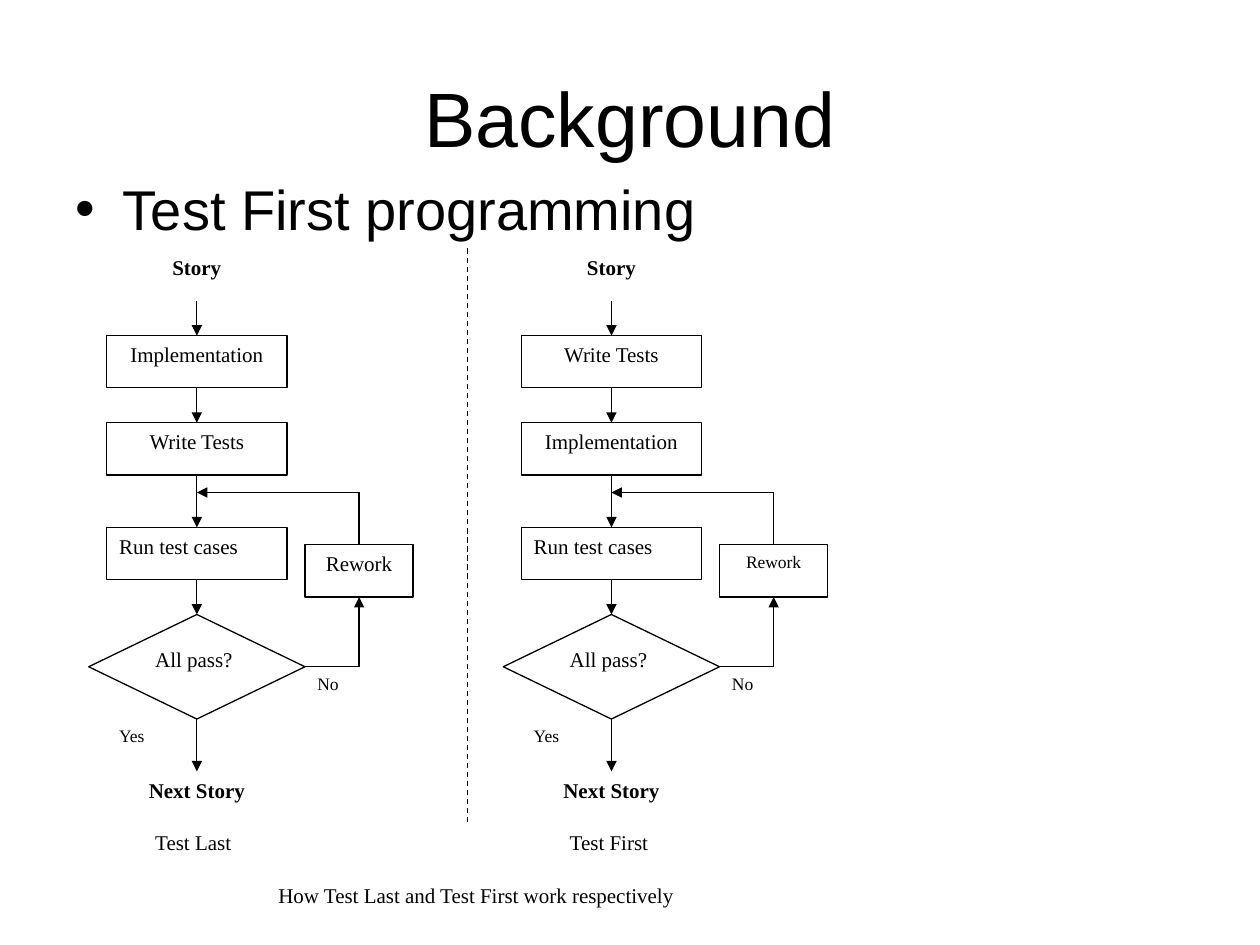
import pptx
import pptx.dml.color
import pptx.enum.dml
import pptx.enum.shapes
import pptx.enum.text
import pptx.oxml
import pptx.util

Pt = pptx.util.Pt
Align = pptx.enum.text.PP_ALIGN
Anchor = pptx.enum.text.MSO_ANCHOR
Shape = pptx.enum.shapes.MSO_SHAPE

BLACK = pptx.dml.color.RGBColor(0x00, 0x00, 0x00)
WHITE = pptx.dml.color.RGBColor(0xFF, 0xFF, 0xFF)

COLUMN = 10.3
ROW = 9.96
AXIS = 112.5
TOP = 142
BOX_ROWS = 3
DIVIDER_COLUMN = 15
SECOND_FLOW_COLUMN = 23


def x_at(column):
    return Pt(AXIS + COLUMN * column)


def y_at(row):
    return Pt(TOP + ROW * row)


def format_text(frame, text, font_name, size, align, bold=False):
    frame.text = text
    paragraph = frame.paragraphs[0]
    paragraph.alignment = align
    paragraph.font.name = font_name
    paragraph.font.size = Pt(size)
    paragraph.font.bold = bold
    paragraph.font.color.rgb = BLACK
    return paragraph


def fill_placeholder(placeholder, bounds, text, size, align, anchor):
    left, top, width, height = map(Pt, bounds)
    placeholder.left, placeholder.top = left, top
    placeholder.width, placeholder.height = width, height
    placeholder.text_frame.vertical_anchor = anchor
    return format_text(placeholder.text_frame, text, "Arial", size, align)


def add_step(slide, text, left, right, row, rows=BOX_ROWS, kind=Shape.RECTANGLE,
             size=12, align=Align.CENTER, bold=False, outlined=True, filled=True):
    step = slide.shapes.add_shape(
        kind, x_at(left), y_at(row), Pt(COLUMN * (right - left)), Pt(ROW * rows))
    step.shadow.inherit = False
    if filled:
        step.fill.solid()
        step.fill.fore_color.rgb = WHITE
    else:
        step.fill.background()
    if outlined:
        step.line.color.rgb = BLACK
        step.line.width = Pt(0.75)
    else:
        step.line.fill.background()
    step.text_frame.word_wrap = True
    step.text_frame.vertical_anchor = Anchor.TOP
    format_text(step.text_frame, text, "Times New Roman", size, align, bold)


def add_label(slide, text, left, right, row, **options):
    add_step(slide, text, left, right, row, outlined=False, **options)


def add_line(slide, start, end, arrow=False, dashed=False):
    link = slide.shapes.add_connector(
        pptx.enum.shapes.MSO_CONNECTOR.STRAIGHT,
        x_at(start[0]), y_at(start[1]), x_at(end[0]), y_at(end[1]))
    link.line.color.rgb = BLACK
    link.line.width = Pt(0.75)
    if dashed:
        link.line.dash_style = pptx.enum.dml.MSO_LINE.DASH
    if arrow:
        head = pptx.oxml.xmlchemy.OxmlElement("a:tailEnd")
        head.set("type", "triangle")
        link.line._get_or_add_ln().append(head)
    link._element.spPr.append(pptx.oxml.xmlchemy.OxmlElement("a:effectLst"))


def add_flow(slide, axis, steps, name, rework_size, no_width):
    add_label(slide, "Story", axis - 3, axis + 3, 0, bold=True)
    for step, row in zip(steps, (5, 10)):
        add_step(slide, step, axis - 5, axis + 5, row)
    add_step(slide, "Run test cases", axis - 5, axis + 5, 16, align=Align.JUSTIFY)
    add_step(slide, "All pass?", axis - 6, axis + 6, 21, rows=6,
             kind=Shape.FLOWCHART_DECISION, align=Align.JUSTIFY)
    add_step(slide, "Rework", axis + 6, axis + 12, 17, size=rework_size)
    add_label(slide, "No", axis + 6, axis + 6 + no_width, 24,
              size=10, align=Align.JUSTIFY, filled=False)
    add_label(slide, "Yes", axis - 5, axis - 1, 27, size=10, align=Align.JUSTIFY)
    add_label(slide, "Next Story", axis - 4, axis + 4, 30, bold=True)
    add_label(slide, name, axis - 3, axis + 4, 33, align=Align.JUSTIFY)

    for start_row, end_row in ((3, 5), (8, 10), (13, 16), (19, 21), (27, 30)):
        add_line(slide, (axis, start_row), (axis, end_row), arrow=True)
    loop = axis + 9
    add_line(slide, (axis + 6, 24), (loop, 24))
    add_line(slide, (loop, 24), (loop, 20), arrow=True)
    add_line(slide, (loop, 17), (loop, 14))
    add_line(slide, (loop, 14), (axis, 14), arrow=True)


def main():
    deck = pptx.Presentation()
    deck.slide_width, deck.slide_height = Pt(720), Pt(540)
    slide = deck.slides.add_slide(deck.slide_layouts[1])
    title, topics = slide.placeholders
    fill_placeholder(title, (36, 21.6, 648, 90), "Background", 44,
                     Align.CENTER, Anchor.MIDDLE)
    topic = fill_placeholder(topics, (36, 96, 480, 386.6), "Test First programming",
                             32, Align.LEFT, Anchor.TOP)
    topic.space_before = Pt(8)

    add_flow(slide, 0, ("Implementation", "Write Tests"), "Test Last",
             rework_size=12, no_width=5)
    add_line(slide, (DIVIDER_COLUMN, 0), (DIVIDER_COLUMN, 33), dashed=True)
    add_flow(slide, SECOND_FLOW_COLUMN, ("Write Tests", "Implementation"), "Test First",
             rework_size=10, no_width=4)
    add_label(slide, "How Test Last and Test First work respectively", 0, 31, 36)
    deck.save("out.pptx")


if __name__ == "__main__":
    main()
